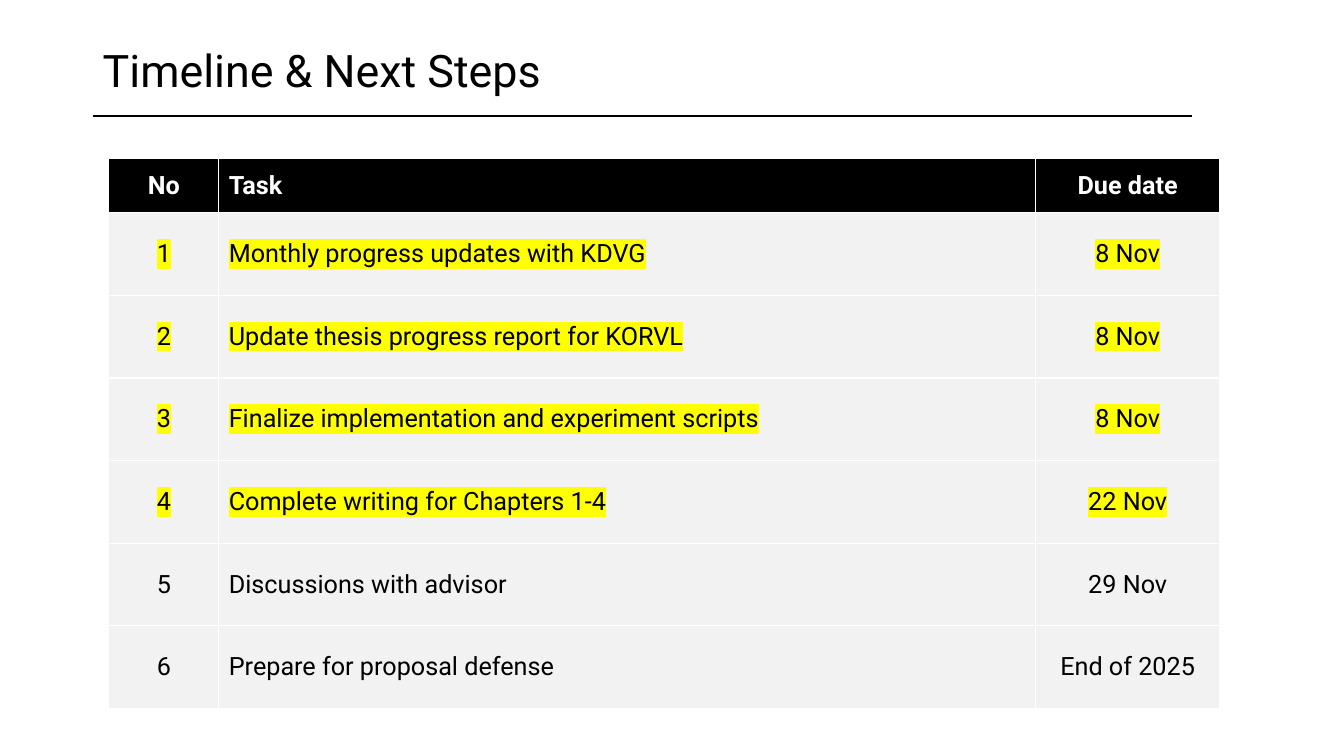
import pptx
import pptx.util
import pptx.dml.color
import pptx.enum.shapes
import pptx.enum.text
import pptx.oxml
import pptx.oxml.ns

RGBColor = pptx.dml.color.RGBColor
Inches = pptx.util.Inches
Align = pptx.enum.text.PP_ALIGN
Anchor = pptx.enum.text.MSO_ANCHOR

TITLE = "Timeline & Next Steps"
HEADER = ("No", "Task", "Due date")
TASKS = [
    ("Monthly progress updates with KDVG", "8 Nov"),
    ("Update thesis progress report for KORVL", "8 Nov"),
    ("Finalize implementation and experiment scripts", "8 Nov"),
    ("Complete writing for Chapters 1-4", "22 Nov"),
    ("Discussions with advisor", "29 Nov"),
    ("Prepare for proposal defense", "End of 2025"),
]
HIGHLIGHTED_TASKS = 4

BLACK = RGBColor(0, 0, 0)
WHITE = RGBColor(255, 255, 255)
GRAY = RGBColor(0xF2, 0xF2, 0xF2)
YELLOW = RGBColor(255, 255, 0)

MARGIN, RULE_TOP, RULE_END = 0.92, 1.15, 11.82
TABLE_LEFT, TABLE_TOP = 1.08, 1.57
COLUMN_WIDTHS = (1.09, 8.1, 1.83)
COLUMN_ALIGNS = (Align.CENTER, Align.LEFT, Align.CENTER)
HEADER_HEIGHT, TASK_HEIGHT = 0.54, 0.82

HEADER_FONT = {"name": "Roboto", "size": pptx.util.Pt(18), "bold": True}
TASK_FONT = {**HEADER_FONT, "bold": False}
TITLE_FONT = {"name": "Roboto", "size": pptx.util.Pt(32)}


def write(frame, text, font, color, align=Align.LEFT, highlight=None):
    para = frame.paragraphs[0]
    para.alignment = align
    span = para.add_run()
    span.text = text
    for key, value in font.items():
        setattr(span.font, key, value)
    span.font.color.rgb = color
    if highlight is not None:
        mark = pptx.oxml.parse_xml(
            f'<a:highlight {pptx.oxml.ns.nsdecls("a")}>'
            f'<a:srgbClr val="{highlight}"/></a:highlight>'
        )
        fill = span.font._element.find(pptx.oxml.ns.qn("a:solidFill"))
        fill.addnext(mark)
    return para


def add_title(page):
    box = page.shapes.add_textbox(*map(Inches, (MARGIN, 0.38, 11.5, 0.69)))
    frame = box.text_frame
    frame.word_wrap = True
    frame.vertical_anchor = Anchor.MIDDLE
    write(frame, TITLE, TITLE_FONT, BLACK).line_spacing = 0.9

    ends = map(Inches, (MARGIN, RULE_TOP, RULE_END, RULE_TOP))
    rule = page.shapes.add_connector(pptx.enum.shapes.MSO_CONNECTOR.STRAIGHT, *ends)
    rule.line.color.rgb = BLACK
    rule.line.width = pptx.util.Pt(1.5)
    rule._element.spPr.append(pptx.oxml.parse_xml(f'<a:effectLst {pptx.oxml.ns.nsdecls("a")}/>'))


def add_schedule(page):
    rows = [HEADER] + [(str(number), *task) for number, task in enumerate(TASKS, 1)]
    heights = [HEADER_HEIGHT] + [TASK_HEIGHT] * len(TASKS)
    area = (TABLE_LEFT, TABLE_TOP, sum(COLUMN_WIDTHS), sum(heights))
    table = page.shapes.add_table(len(rows), len(HEADER), *map(Inches, area)).table
    table.horz_banding = False
    for column, width in zip(table.columns, COLUMN_WIDTHS):
        column.width = Inches(width)
    for index, (row, texts) in enumerate(zip(table.rows, rows)):
        row.height = Inches(heights[index])
        is_header = index == 0
        highlight = YELLOW if 1 <= index <= HIGHLIGHTED_TASKS else None
        for cell, text, align in zip(row.cells, texts, COLUMN_ALIGNS):
            cell.fill.solid()
            cell.fill.fore_color.rgb = BLACK if is_header else GRAY
            cell.vertical_anchor = Anchor.MIDDLE
            font = HEADER_FONT if is_header else TASK_FONT
            color = WHITE if is_header else BLACK
            write(cell.text_frame, text, font, color, align, highlight)


def main():
    deck = pptx.Presentation()
    deck.slide_width, deck.slide_height = Inches(13.33), Inches(7.5)
    page = deck.slides.add_slide(deck.slide_layouts[6])
    add_title(page)
    add_schedule(page)
    deck.save("out.pptx")


if __name__ == "__main__":
    main()
